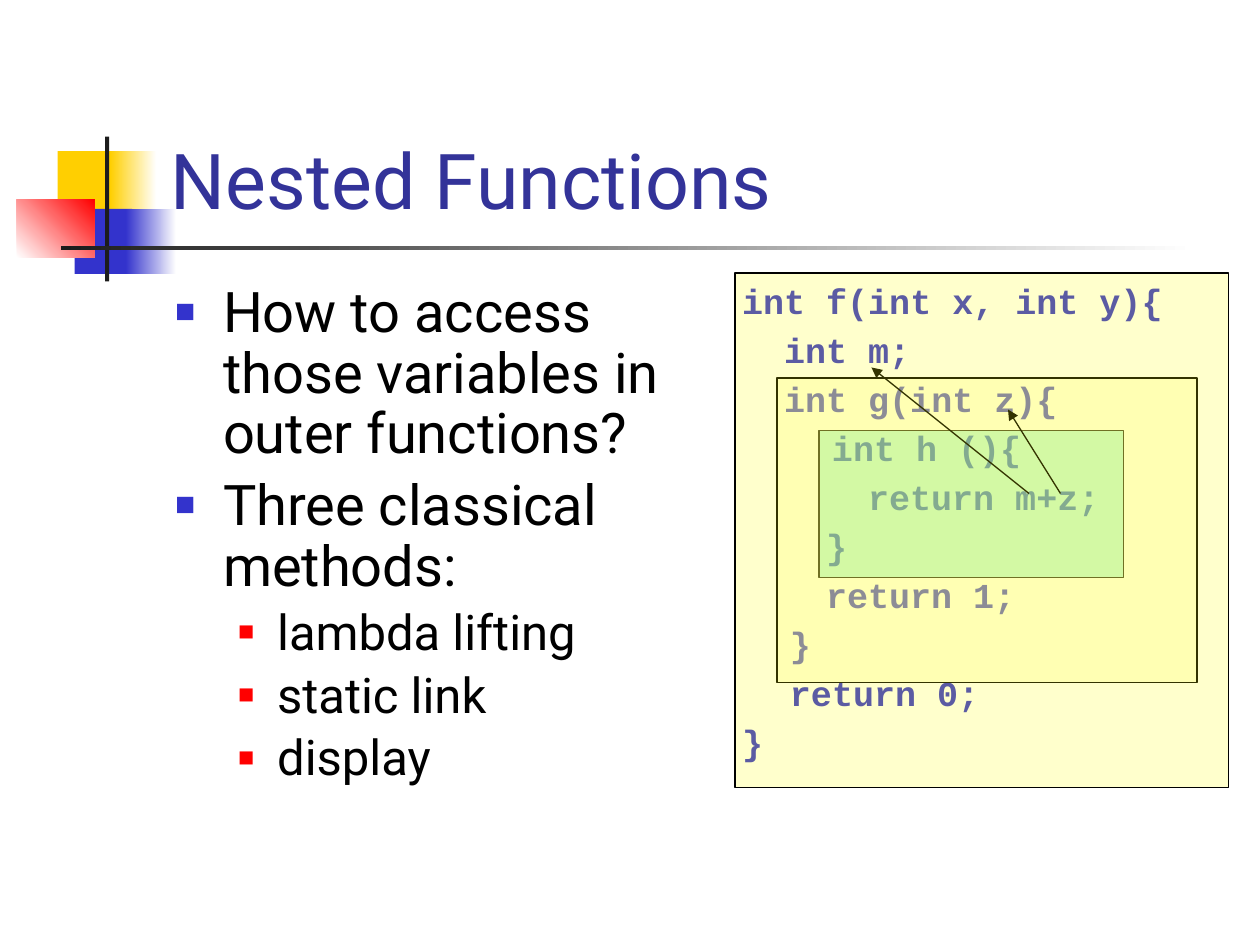
from dataclasses import dataclass

from lxml import etree
from pptx import Presentation, util as u
from pptx.dml.color import RGBColor
from pptx.enum import shapes, text
from pptx.oxml.ns import qn


@dataclass(frozen=True)
class Theme:
    sans: str = "Roboto"
    mono: str = "Courier New"
    title: str = "333399"
    blue: str = "3333CC"
    gold: str = "FFCF01"
    red: str = "FF0000"
    dark: str = "1C1C1C"
    black: str = "000000"
    white: str = "FFFFFF"
    green: str = "00E4A8"
    cream: str = "FFFF99"
    yellow: str = "FFFF00"
    head: int = 44
    body: int = 32
    sub: int = 28
    code: int = 20


T = Theme()
COLS, ROWS = 120, 90
CHAR, TAB = 1 / 6, 0.38  # code letter width and tab stop, inches


def rgb(code):
    return RGBColor.from_string(code)


def node(top, tag, **attrs):
    return etree.SubElement(top, qn(tag), attrs)


def write(frame, words, size, color, font=T.sans, bold=False, first=False,
          level=0, left=0, hang=0, lead=None, before=0, mark=None, scale=60):
    """Add one paragraph to a text frame."""
    par = frame.paragraphs[0] if first else frame.add_paragraph()
    par.level = level
    run = par.add_run()
    run.text = words
    run.font.size, run.font.name, run.font.bold = u.Pt(size), font, bold
    run.font.color.rgb = rgb(color)
    prop = par._p.get_or_add_pPr()
    prop.set("marL", str(u.Inches(left)))
    prop.set("indent", str(u.Inches(-hang)))
    if before:
        node(node(prop, "a:spcBef"), "a:spcPct", val=str(before * 1000))
    if mark:
        node(node(prop, "a:buClr"), "a:srgbClr", val=mark)
        node(prop, "a:buSzPct", val=str(scale * 1000))
        node(prop, "a:buFont", typeface="Arial")
        node(prop, "a:buChar", char="■")
    if lead:
        par.line_spacing = lead


class Deck:
    """Holds the style, the grid and the current slide."""

    def __init__(self, theme):
        self.theme = theme
        self.prs = Presentation()
        self.prs.slide_width, self.prs.slide_height = u.Inches(10), u.Inches(7.5)
        self.dx = self.prs.slide_width / COLS
        self.dy = self.prs.slide_height / ROWS
        self.slide = self.prs.slides.add_slide(self.prs.slide_layouts[6])

    def place(self, *cells):
        steps = (self.dx, self.dy) * 2
        return [round(c * s) for c, s in zip(cells, steps)]

    def rect(self, cells, color, fade=None, angle=0, alpha=None):
        """Plain box, fading box, or outlined see-through box."""
        box = self.slide.shapes.add_shape(
            shapes.MSO_SHAPE.RECTANGLE, *self.place(*cells))
        box.shadow.inherit = False
        if fade:
            box.fill.gradient()
            box.fill.gradient_angle = angle
            for stop, tone in zip(box.fill.gradient_stops, (color, fade)):
                stop.color.rgb = rgb(tone)
        else:
            box.fill.solid()
            box.fill.fore_color.rgb = rgb(color)
        if alpha is None:
            box.line.fill.background()
        else:
            tone = box.fill._xPr.find(".//" + qn("a:srgbClr"))
            node(tone, "a:alpha", val=str(alpha * 1000))
            box.line.color.rgb = rgb(self.theme.black)
            box.line.width = u.Pt(0.75)

    def arrow(self, *cells):
        line = self.slide.shapes.add_connector(
            shapes.MSO_CONNECTOR.STRAIGHT, *self.place(*cells))
        line.line.color.rgb = rgb(self.theme.black)
        line.line.width = u.Pt(0.75)
        node(line.line._get_or_add_ln(), "a:tailEnd", type="triangle")
        node(line._element.spPr, "a:effectLst")

    def frame(self, cells, anchor=text.MSO_ANCHOR.TOP):
        frame = self.slide.shapes.add_textbox(*self.place(*cells)).text_frame
        frame.word_wrap = True
        frame.vertical_anchor = anchor
        return frame


def main():
    deck = Deck(T)

    # Corner ornament and rule
    deck.rect((5.5, 14.4, 5.8, 6.2), T.gold)
    deck.rect((10.5, 14.4, 4.4, 6.2), T.gold, fade=T.white)
    deck.rect((7.1, 19.9, 5.5, 6.2), T.blue)
    deck.rect((12, 19.9, 4.8, 6.2), T.blue, fade=T.white)
    deck.rect((1.6, 19, 7.4, 5.5), T.white, fade=T.red, angle=45)
    deck.rect((10, 13, 0.4, 13.8), T.dark)
    deck.rect((5.8, 23.4, 108, 0.4), T.dark, fade=T.white)

    # Title
    head = deck.frame((15.1, 2.8, 102.2, 19.2), text.MSO_ANCHOR.BOTTOM)
    write(head, "Nested Functions", T.head, T.title, first=True)

    # Code, each line with its indent in inches
    code = deck.frame((69.5, 26, 48.5, 54))
    lines = [
        ("int f(int x, int y){", 0),
        ("int m;", 2 * CHAR),
        ("int g(int z){", 2 * CHAR),
        ("int h (){", TAB + 2 * CHAR),
        ("return m+z;", 6 * CHAR),
        ("}", 4 * CHAR),
        ("return 1;", 4 * CHAR),
        ("}", TAB),
        ("return 0;", TAB),
        ("}", 0),
    ]
    for i, (words, left) in enumerate(lines):
        write(code, words, T.code, T.blue, font=T.mono, bold=True,
              first=i == 0, left=left, before=20)

    # Scopes, inner to outer, and uses of outer variables
    deck.rect((78, 41, 29, 14), T.green, alpha=30)
    deck.rect((74, 36, 40, 29), T.cream, alpha=30)
    deck.arrow(98, 47, 83, 35)
    deck.arrow(101, 47, 96, 39)
    deck.rect((70, 26, 47, 49), T.yellow, alpha=20)

    # Bullets
    body = deck.frame((15.5, 26.5, 50.5, 54))
    main_fmt = dict(size=T.body, left=0.38, hang=0.38, mark=T.blue)
    sub_fmt = dict(size=T.sub, left=0.81, hang=0.31, mark=T.red,
                   scale=55, level=1)
    points = [
        ("How to access those variables in outer functions?", main_fmt),
        ("Three classical methods:", main_fmt),
        ("lambda lifting", sub_fmt),
        ("static link", sub_fmt),
        ("display", sub_fmt),
    ]
    for i, (words, fmt) in enumerate(points):
        write(body, words, color=T.black, first=i == 0, lead=0.9,
              before=20, **fmt)

    deck.prs.save("out.pptx")


if __name__ == "__main__":
    main()
